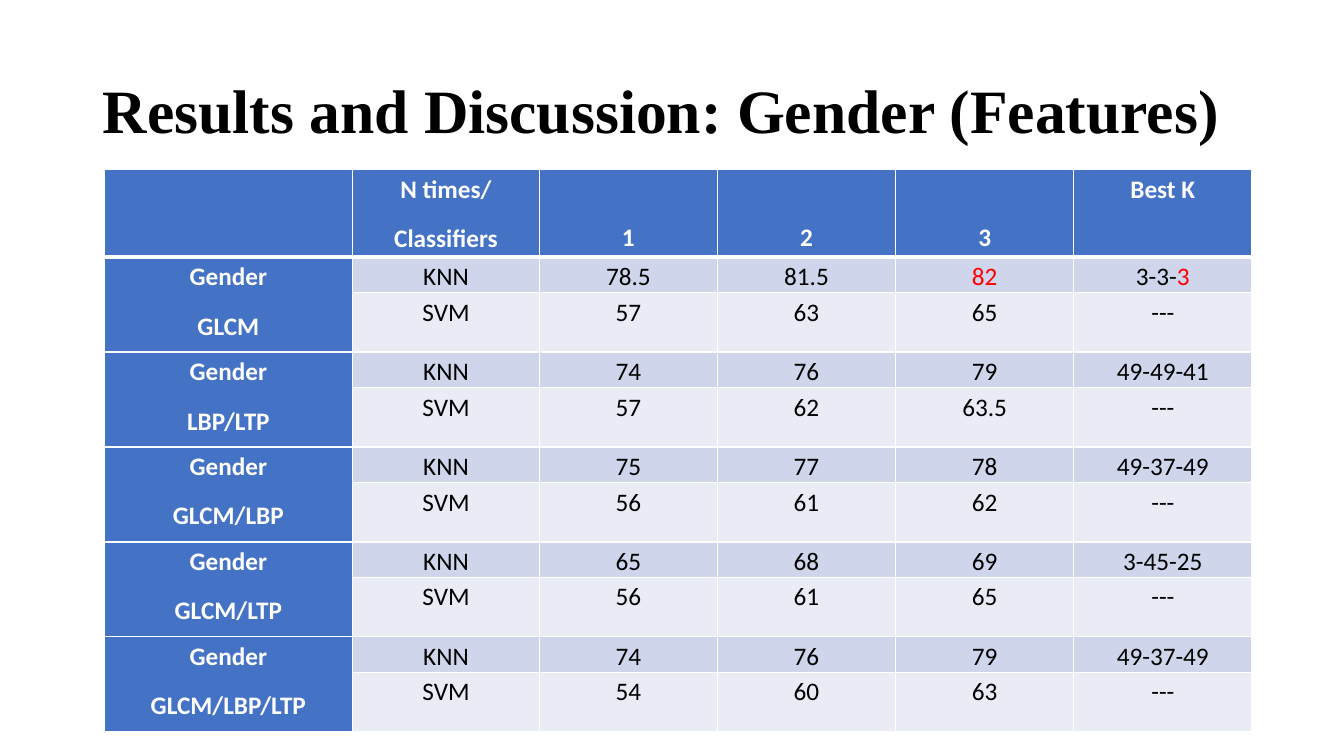
import dataclasses
import typing

import lxml.etree
import pptx
import pptx.dml.color
import pptx.enum.text
import pptx.oxml.ns
import pptx.presentation
import pptx.slide
import pptx.table
import pptx.text.text
import pptx.util

Cm = pptx.util.Cm
Pt = pptx.util.Pt
Anchor = pptx.enum.text.MSO_ANCHOR
Align = pptx.enum.text.PP_ALIGN

COLORS = {
    "heading": "4472C4",
    "knn": "CFD5EA",
    "svm": "E9EBF5",
    "white": "FFFFFF",
    "black": "000000",
    "best": "FF0000",
}
COLUMN_WIDTHS = (6.27, 4.7, 4.49, 4.49, 4.49, 4.49)
HEADER_HEIGHT = 2.21
CLASSIFIER_HEIGHTS = {"KNN": 0.88, "SVM": 1.5}
HEADINGS = ("", "N times/\nClassifiers", "1", "2", "3", "Best K")


@dataclasses.dataclass(frozen=True)
class Result:
    """A cell value, with an optional highlighted ending."""

    text: str
    highlight: str = ""


@dataclasses.dataclass(frozen=True)
class FeatureGroup:
    features: str
    knn: tuple[Result, ...]
    svm: tuple[Result, ...]


def results(*texts: str) -> tuple[Result, ...]:
    return tuple(Result(text) for text in texts)


GROUPS = (
    FeatureGroup(
        "GLCM",
        results("78.5", "81.5") + (Result("", "82"), Result("3-3-", "3")),
        results("57", "63", "65", "---"),
    ),
    FeatureGroup(
        "LBP/LTP",
        results("74", "76", "79", "49-49-41"),
        results("57", "62", "63.5", "---"),
    ),
    FeatureGroup(
        "GLCM/LBP",
        results("75", "77", "78", "49-37-49"),
        results("56", "61", "62", "---"),
    ),
    FeatureGroup(
        "GLCM/LTP",
        results("65", "68", "69", "3-45-25"),
        results("56", "61", "65", "---"),
    ),
    FeatureGroup(
        "GLCM/LBP/LTP",
        results("74", "76", "79", "49-37-49"),
        results("54", "60", "63", "---"),
    ),
)


def add_text(
    paragraph: pptx.text.text._Paragraph,
    text: str,
    *,
    color: str,
    size: float = 18,
    font: str = "Calibri",
    bold: bool = False,
    align: Align = Align.CENTER,
    line_spacing: float = 1.15,
    space_after: float = 10,
) -> None:
    paragraph.alignment = align
    paragraph.line_spacing = line_spacing
    paragraph.space_after = Pt(space_after)
    run = paragraph.add_run()
    run.text = text
    run.font.name = font
    run.font.size = Pt(size)
    run.font.bold = bold
    run.font.color.rgb = pptx.dml.color.RGBColor.from_string(COLORS[color])


def set_borders(cell: pptx.table._Cell, bottom_width: float) -> None:
    properties = cell._tc.get_or_add_tcPr()
    widths = {"lnL": 1, "lnR": 1, "lnT": 1, "lnB": bottom_width}
    for side, width in widths.items():
        line = lxml.etree.SubElement(
            properties, pptx.oxml.ns.qn(f"a:{side}"), w=str(Pt(width))
        )
        fill = lxml.etree.SubElement(line, pptx.oxml.ns.qn("a:solidFill"))
        lxml.etree.SubElement(
            fill, pptx.oxml.ns.qn("a:srgbClr"), val=COLORS["white"]
        )


def format_cell(
    cell: pptx.table._Cell, fill: str, bottom_width: float = 1
) -> None:
    cell.margin_left = cell.margin_right = Cm(0.18)
    cell.margin_top = cell.margin_bottom = 0
    set_borders(cell, bottom_width)
    cell.fill.solid()
    cell.fill.fore_color.rgb = pptx.dml.color.RGBColor.from_string(COLORS[fill])


def write_heading(cell: pptx.table._Cell, text: str) -> None:
    """Write each line of a heading as its own paragraph."""
    frame = cell.text_frame
    for index, line in enumerate(text.splitlines()):
        paragraph = frame.add_paragraph() if index else frame.paragraphs[0]
        add_text(paragraph, line, color="white", bold=True)


def write_result(cell: pptx.table._Cell, result: Result) -> None:
    paragraph = cell.text_frame.paragraphs[0]
    for text, color in ((result.text, "black"), (result.highlight, "best")):
        if text:
            add_text(paragraph, text, color=color)


def add_title(slide: pptx.slide.Slide) -> None:
    title = slide.shapes.title
    title.left, title.top = Cm(2.33), Cm(1.01)
    title.width, title.height = Cm(29.21), Cm(3.68)
    title.text_frame.vertical_anchor = Anchor.MIDDLE
    title.text_frame.word_wrap = True
    add_text(
        title.text_frame.paragraphs[0],
        "Results and Discussion: Gender (Features)",
        color="black",
        size=44,
        font="Times New Roman",
        bold=True,
        align=Align.LEFT,
        line_spacing=0.9,
        space_after=0,
    )


def fill_header(table: pptx.table.Table) -> None:
    table.rows[0].height = Cm(HEADER_HEIGHT)
    for column, heading in enumerate(HEADINGS):
        cell = table.cell(0, column)
        format_cell(cell, "heading", bottom_width=3)
        write_heading(cell, heading)
        if heading.isdigit():
            cell.vertical_anchor = Anchor.BOTTOM
            cell.margin_bottom = Cm(0.1)


def fill_group(
    table: pptx.table.Table, first_row: int, group: FeatureGroup
) -> None:
    values = {"KNN": group.knn, "SVM": group.svm}
    for row, (classifier, scores) in enumerate(values.items(), first_row):
        table.rows[row].height = Cm(CLASSIFIER_HEIGHTS[classifier])
        format_cell(table.cell(row, 0), "heading")
        for column, result in enumerate((Result(classifier), *scores), 1):
            cell = table.cell(row, column)
            format_cell(cell, classifier.lower())
            write_result(cell, result)
    name_cell = table.cell(first_row, 0)
    name_cell.merge(table.cell(first_row + 1, 0))
    write_heading(name_cell, f"Gender\n{group.features}")


def add_results_table(slide: pptx.slide.Slide) -> None:
    row_count = 1 + len(GROUPS) * len(CLASSIFIER_HEIGHTS)
    height = HEADER_HEIGHT + len(GROUPS) * sum(CLASSIFIER_HEIGHTS.values())
    table = slide.shapes.add_table(
        row_count, len(COLUMN_WIDTHS),
        Cm(2.62), Cm(4.27), Cm(sum(COLUMN_WIDTHS)), Cm(height),
    ).table
    table.first_col = True
    for column, width in zip(table.columns, COLUMN_WIDTHS):
        column.width = Cm(width)
    fill_header(table)
    for index, group in enumerate(GROUPS):
        fill_group(table, 1 + index * len(CLASSIFIER_HEIGHTS), group)


def main() -> None:
    presentation = pptx.Presentation()
    presentation.slide_width, presentation.slide_height = Cm(33.87), Cm(19.05)
    slide = presentation.slides.add_slide(presentation.slide_layouts[5])
    add_title(slide)
    add_results_table(slide)
    presentation.save("out.pptx")


if __name__ == "__main__":
    main()
